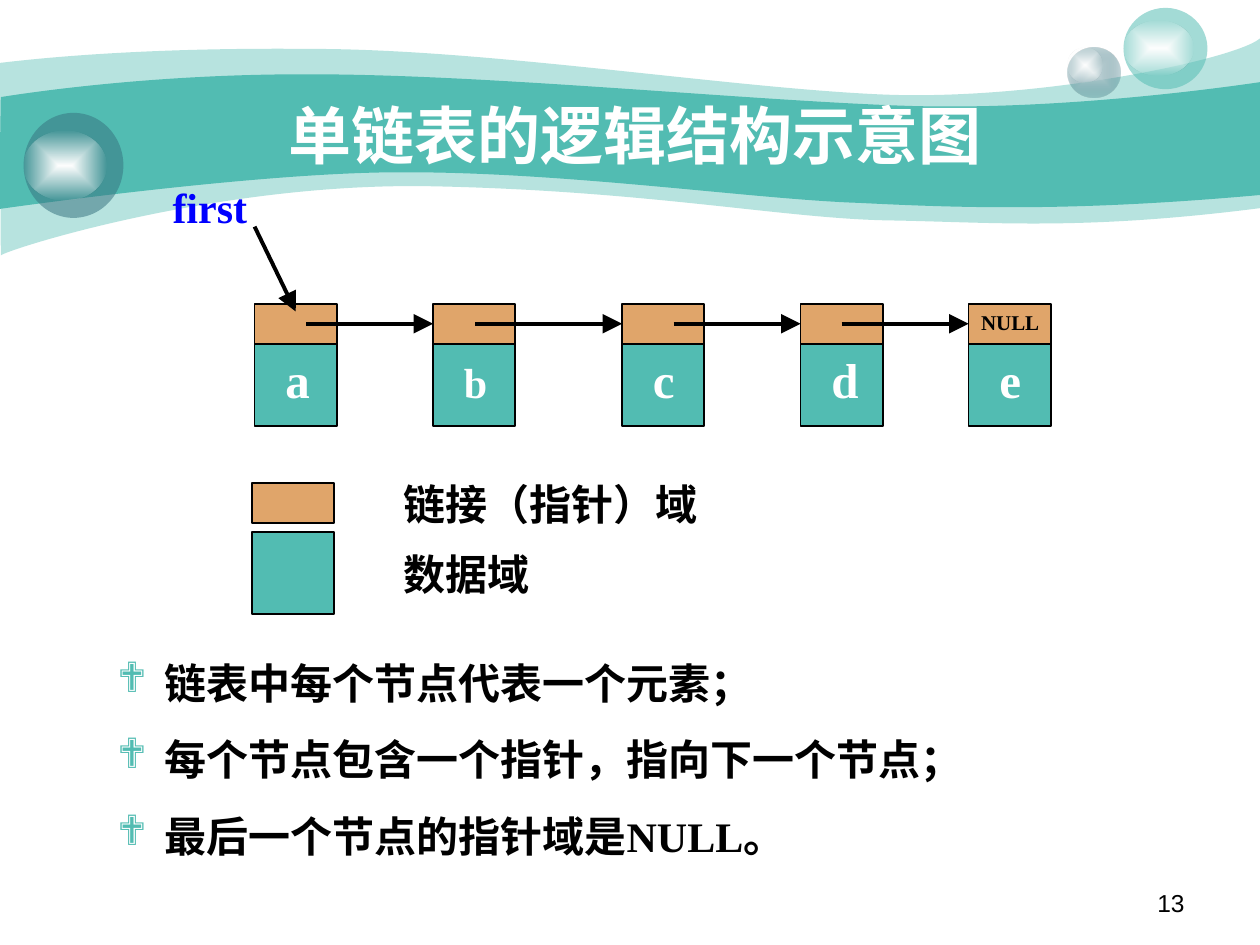
import pptx
import pptx.dml.color
import pptx.enum.shapes
import pptx.enum.text
import pptx.oxml
import pptx.oxml.ns
import pptx.util

Pt = pptx.util.Pt
SHAPE = pptx.enum.shapes.MSO_SHAPE
ALIGN = pptx.enum.text.PP_ALIGN
ANCHOR = pptx.enum.text.MSO_ANCHOR
qn = pptx.oxml.ns.qn
NS = pptx.oxml.ns.nsdecls("a")

TEAL, SLATE, TAN = "52BCB2", "37737F", "E0A56A"
BLACK, WHITE, BLUE = "000000", "FFFFFF", "0000FF"


def rgb(value):
    return pptx.dml.color.RGBColor.from_string(value)


def put_text(tf, text, size=24, color=BLACK, font="Times New Roman", bold=True,
             align=ALIGN.LEFT, gap=0, bullet=None):
    """Write each line of text as one formatted paragraph."""
    for i, line in enumerate(text.split("\n")):
        p = tf.paragraphs[0] if i == 0 else tf.add_paragraph()
        p.alignment = align
        if i:
            p.space_before = Pt(gap)
        if bullet:
            pPr = p._p.get_or_add_pPr()
            pPr.set("marL", str(Pt(27)))
            pPr.set("indent", str(-Pt(27)))
            for xml in (f'<a:buClr {NS}><a:srgbClr val="{TEAL}"/></a:buClr>',
                        f'<a:buFont {NS} typeface="Wingdings" charset="2"/>',
                        f'<a:buChar {NS} char="{bullet}"/>'):
                pPr.append(pptx.oxml.parse_xml(xml))
        r = p.add_run()
        r.text = line
        r.font.size, r.font.name, r.font.bold = Pt(size), font, bold
        r.font.color.rgb = rgb(color)


class Deck:
    def __init__(self, width, height):
        self.prs = pptx.Presentation()
        self.prs.slide_width, self.prs.slide_height = Pt(width), Pt(height)
        self.s = None

    def new_slide(self):
        self.s = self.prs.slides.add_slide(self.prs.slide_layouts[5])

    def paint(self, sp, fill, alpha=100, line=None):
        sp.shadow.inherit = False
        sp.fill.solid()
        sp.fill.fore_color.rgb = rgb(fill)
        if alpha < 100:
            clr = sp._element.spPr.find(qn("a:solidFill"))[0]
            clr.append(pptx.oxml.parse_xml(f'<a:alpha {NS} val="{alpha * 1000}"/>'))
        if line:
            sp.line.color.rgb, sp.line.width = rgb(line), Pt(1)
        else:
            sp.line.fill.background()

    def shape(self, kind, x, y, w, h, fill, alpha=100, line=None):
        sp = self.s.shapes.add_shape(kind, Pt(x), Pt(y), Pt(w), Pt(h))
        self.paint(sp, fill, alpha, line)
        return sp

    def box(self, x, y, h, fill):
        return self.shape(SHAPE.RECTANGLE, x, y, 47, h, fill, line=BLACK)

    def glow(self, x, y, w, h, inner=WHITE, outer=WHITE, alpha=0):
        """Ellipse that fades from its centre outwards."""
        sp = self.shape(SHAPE.OVAL, x, y, w, h, inner)
        solid = sp._element.spPr.find(qn("a:solidFill"))
        solid.getparent().replace(solid, pptx.oxml.parse_xml(
            f'<a:gradFill {NS} rotWithShape="1"><a:gsLst>'
            f'<a:gs pos="0"><a:srgbClr val="{inner}"/></a:gs>'
            f'<a:gs pos="100000"><a:srgbClr val="{outer}">'
            f'<a:alpha val="{alpha * 1000}"/></a:srgbClr></a:gs></a:gsLst>'
            '<a:path path="rect"><a:fillToRect l="50000" t="50000" '
            'r="50000" b="50000"/></a:path></a:gradFill>'))

    def wave(self, top, bottom, alpha=100):
        """Band between two chains of curves; each chain is start, then triples."""
        corners = [(Pt(x), Pt(y)) for x, y in top[::3] + bottom[::3]]
        fb = self.s.shapes.build_freeform(*corners[0])
        fb.add_line_segments(corners[1:], close=True)
        sp = fb.convert_to_shape()
        # Bend every side except the straight one that joins the two chains
        triples = [edge[i:i + 3] for edge in (top, bottom)
                   for i in range(1, len(edge), 3)]
        triples.insert(len(top) // 3, None)
        for side, triple in zip(list(sp._element.iter(qn("a:lnTo"))), triples):
            if triple:
                pts = "".join(f'<a:pt x="{Pt(x) - sp.left}" y="{Pt(y) - sp.top}"/>'
                              for x, y in triple)
                side.getparent().replace(side, pptx.oxml.parse_xml(
                    f"<a:cubicBezTo {NS}>{pts}</a:cubicBezTo>"))
        self.paint(sp, TEAL, alpha)

    def title(self, text, x, y, w, h):
        sp = self.s.shapes.title
        self.s.shapes._spTree.append(sp._element)  # in front of the waves
        sp.left, sp.top, sp.width, sp.height = Pt(x), Pt(y), Pt(w), Pt(h)
        sp.text_frame.vertical_anchor = ANCHOR.MIDDLE
        put_text(sp.text_frame, text, size=36, color=WHITE, align=ALIGN.CENTER)

    def text(self, text, x, y, w, h, wrap=True, **fmt):
        tf = self.s.shapes.add_textbox(Pt(x), Pt(y), Pt(w), Pt(h)).text_frame
        tf.word_wrap = wrap
        put_text(tf, text, **fmt)

    def arrow(self, x1, y1, x2, y2, target=None):
        c = self.s.shapes.add_connector(pptx.enum.shapes.MSO_CONNECTOR.STRAIGHT,
                                        Pt(x1), Pt(y1), Pt(x2), Pt(y2))
        if target is not None:
            c.end_connect(target, 1)
        c.line.color.rgb, c.line.width = rgb(BLACK), Pt(2.25)
        c.line._get_or_add_ln().append(pptx.oxml.parse_xml(
            f'<a:tailEnd {NS} type="triangle" w="lg" len="lg"/>'))
        c._element.spPr.append(pptx.oxml.parse_xml(f'<a:effectLst {NS}/>'))


def main():
    deck = Deck(720, 540)
    deck.new_slide()

    # Waves behind the title
    deck.wave([(0, 36), (17, 34), (77, 27), (178, 28), (278, 28), (414, 50),
               (503, 54), (592, 58), (706, 34), (720, 22)],
              [(720, 119), (618, 132), (567, 127), (508, 126), (448, 125),
               (371, 109), (247, 106.5), (124, 104), (3, 143), (0.5, 146)], alpha=41)
    deck.wave([(0.5, 55.5), (1.5, 55.5), (79, 42), (178.5, 42.5), (278, 42.5),
               (428, 57.5), (517, 60.5), (605.5, 63.5), (703, 49.5), (720, 47)],
              [(720, 111.5), (614, 121), (551, 119), (491, 116), (431, 114),
               (322, 98), (228, 98.5), (146, 98.5), (-1, 119.5), (-0.5, 119.5)])

    # Glass balls
    deck.glow(610, 27, 30.5, 29, "CCDBDE", SLATE, 31)
    deck.glow(610, 27.5, 20, 19.5)
    deck.shape(SHAPE.OVAL, 642, 4.5, 48, 46.5, TEAL, alpha=53)
    deck.glow(642, 12, 40, 31)
    deck.shape(SHAPE.OVAL, 13.5, 64.5, 57, 60, SLATE, alpha=53)
    deck.glow(13.5, 74.5, 47.5, 40)

    # Title and page number
    deck.text("13", 516, 504, 168, 25, size=14, font="Arial", bold=False,
              align=ALIGN.RIGHT)
    deck.title("单链表的逻辑结构示意图", 72, 54, 582, 45)

    # Legend
    deck.text("链接（指针）域", 223.5, 270, 275, 36)
    deck.box(144, 276, 23, TAN)
    deck.box(144, 304, 47, TEAL)
    deck.text("数据域", 223.5, 310, 396, 36)

    # Linked list: node left edge, letter, letter size, start of the arrow into it
    top, link_h = 173.5, 23
    mid = top + link_h / 2
    nodes = [(145.5, "a", 28, None), (247.5, "b", 24, 175), (355.5, "c", 28, 271.5),
             (457.5, "d", 28, 385), (553.5, "e", 28, 481)]
    for x, letter, size, start in nodes:
        deck.box(x, top + link_h, 47, TEAL)
        link = deck.box(x, top, link_h, TAN)
        deck.text(letter, x + 10.5, 224 - size, 28, size + 12, wrap=False,
                  size=size, color=WHITE)
        if start:
            deck.arrow(start, mid, x, mid, target=link)
    deck.text("NULL", 553.5, top, 48, 22, wrap=False, size=12)

    # Head pointer
    deck.text("first", 91.5, 100, 132, 36, color=BLUE)
    deck.arrow(145.5, 129.5, 169, 178)

    # Explanation
    deck.text("链表中每个节点代表一个元素；\n每个节点包含一个指针，指向下一个节点；\n"
              "最后一个节点的指针域是NULL。", 60, 372, 623, 124, gap=15, bullet="❖")

    deck.prs.save("out.pptx")


if __name__ == "__main__":
    main()
